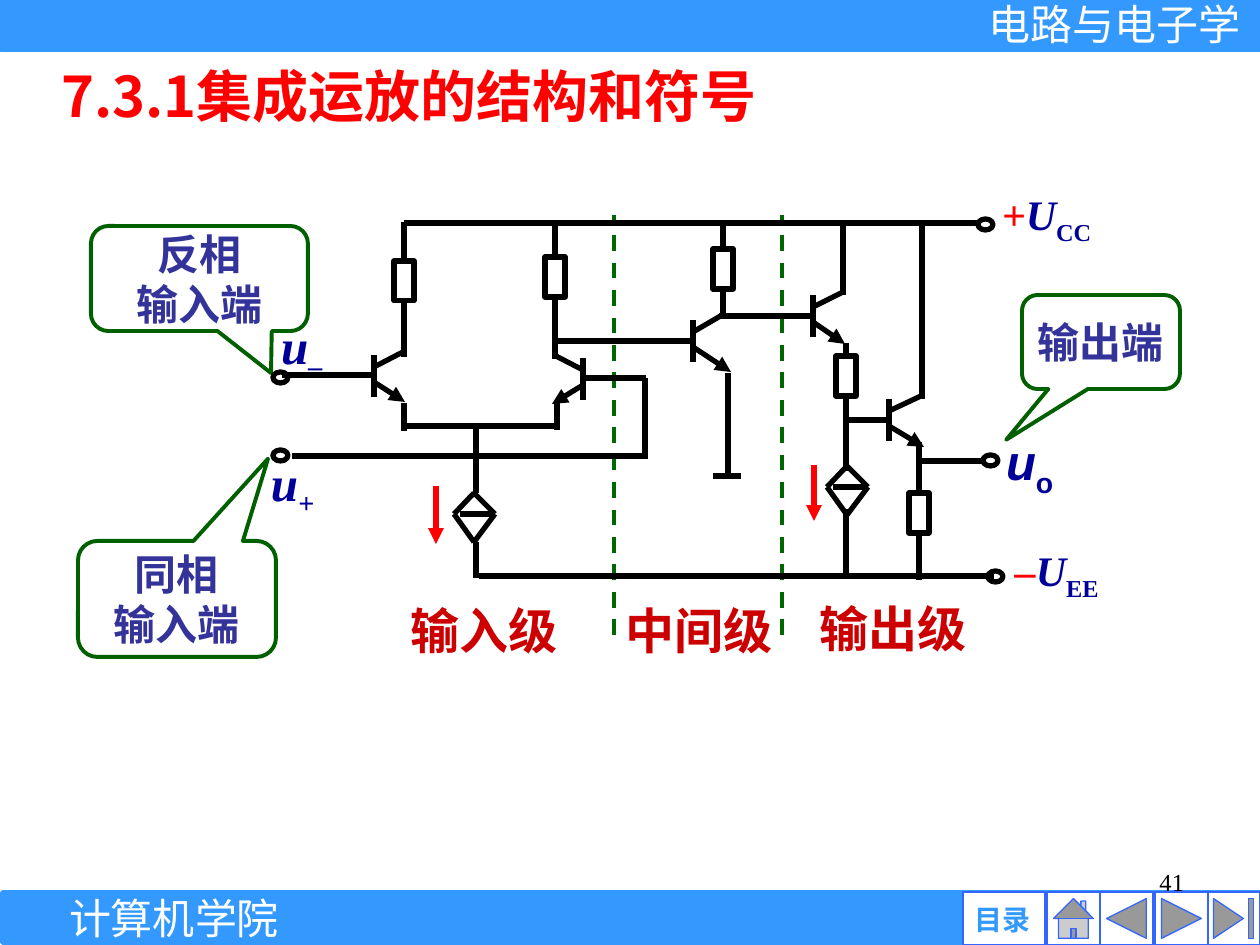
from lxml import etree
from pptx import Presentation
from pptx.dml.color import RGBColor
from pptx.enum.dml import MSO_LINE
from pptx.enum.shapes import MSO_CONNECTOR, MSO_SHAPE
from pptx.enum.text import MSO_ANCHOR, PP_ALIGN
from pptx.oxml.ns import qn
from pptx.util import Pt

PX = 914400 / 126
STRAIGHT = MSO_CONNECTOR.STRAIGHT
RECT, OVAL = MSO_SHAPE.RECTANGLE, MSO_SHAPE.OVAL
CALLOUT = MSO_SHAPE.ROUNDED_RECTANGULAR_CALLOUT
LEFT, CENTER, RIGHT = PP_ALIGN.LEFT, PP_ALIGN.CENTER, PP_ALIGN.RIGHT
TOP, MIDDLE = MSO_ANCHOR.TOP, MSO_ANCHOR.MIDDLE
SANS, SERIF, CJK = "Arial", "Times New Roman", "Noto Sans CJK SC"

BLACK = RGBColor(0x00, 0x00, 0x00)
WHITE = RGBColor(0xFF, 0xFF, 0xFF)
RED = RGBColor(0xFF, 0x00, 0x00)
DARK_RED = RGBColor(0xCC, 0x00, 0x00)
SKY = RGBColor(0x33, 0x99, 0xFF)
BUTTON_EDGE = RGBColor(0x33, 0x66, 0xFF)
DASH_GREEN = RGBColor(0x00, 0x66, 0x00)
CALLOUT_GREEN = RGBColor(0x00, 0x60, 0x00)
INDIGO = RGBColor(0x33, 0x33, 0x99)
NAVY = RGBColor(0x00, 0x00, 0x99)

# ---- Content (all lengths in px) ----
BARS = [(3, 893, 1257, 49), (1, 0, 1259, 49)]
BUTTONS = [  # left, width, shape
    (1207, 53, MSO_SHAPE.ACTION_BUTTON_END),
    (1155, 53, MSO_SHAPE.ACTION_BUTTON_FORWARD_OR_NEXT),
    (1100, 53, MSO_SHAPE.ACTION_BUTTON_BACK_OR_PREVIOUS),
    (1047, 53, MSO_SHAPE.ACTION_BUTTON_HOME),
    (963, 82, MSO_SHAPE.ACTION_BUTTON_CUSTOM),
]
TEXTS = [  # text, box, size, font, colour, bold, alignment, anchor, margins
    ("41", (903, 861, 294, 66), 14, SERIF, BLACK, False, RIGHT, TOP, (13, 6)),
    ("目录", (963, 902, 79, 34), 16, SANS, SKY, True, CENTER, MIDDLE, (0, 0)),
    ("电路与电子学", (961, -1, 307, 50), 24, SANS, WHITE, False, CENTER, MIDDLE, (0, 0)),
    ("计算机学院", (69, 893, 210, 50), 24, SERIF, WHITE, False, CENTER, MIDDLE, (0, 0)),
    ("7.3.1集成运放的结构和符号", (48, 55, 887, 79), 32, CJK, RED, True, LEFT, TOP, (13, 6)),
    ("输入级", (374, 597, 220, 66), 28, SERIF, DARK_RED, True, CENTER, MIDDLE, (13, 0)),
    ("中间级", (595, 597, 208, 66), 28, SERIF, DARK_RED, True, CENTER, MIDDLE, (13, 0)),
    ("输出级", (794, 595, 198, 66), 28, SERIF, DARK_RED, True, CENTER, MIDDLE, (13, 0)),
]
CALLOUTS = [  # lines, box, pointer
    (["同相", "输入端"], (78, 541, 198, 116), (0.46, -1.21)),
    (["输出端"], (1022, 295, 158, 94), (-0.6, 1.04)),
    (["反相", "输入端"], (91, 226, 217, 105), (0.33, 0.9)),
]
TERMINAL_LABELS = [  # sign, letter, subscript, box, size, font, upright subscript
    ("+", "U", "CC", (989, 183, 161, 63), 24, SERIF, True),
    ("–", "U", "EE", (1002, 539, 127, 63), 24, SERIF, True),
    ("", "u", "o", (993, 426, 84, 66), 28, SANS, True),
    ("", "u", "–", (268, 309, 93, 72), 28, SERIF, False),
    ("", "u", "+", (258, 446, 125, 72), 28, SERIF, False),
]
STAGE_BORDERS = [614, 782]
TERMINALS = [(273, 450), (273, 372), (988, 571), (983, 455), (978, 219)]
RESISTORS = [  # centre x, centre y, upper wire start, lower wire end
    (404, 281, 222, 357), (555, 277, 226, 359), (723, 269, 224, 316),
    (846, 376, 343, 471), (919, 513, 442, 580),
]
TRANSISTORS = [  # base x, centre y, collector offset, emitter offset
    (374, 376, (29, -24), (31, 26)),
    (583, 379, (-29, -24), (-31, 25)),
    (693, 341, (31, -27), (38, 31)),
    (813, 316, (30, -24), (32, 28)),
    (889, 420, (32, -24), (35, 27)),
]
CURRENT_SOURCES = [(474, 493), (847, 466)]  # top of each diamond
CURRENT_ARROWS = [(436, 486, 544), (814, 465, 521)]
WIRES = [
    # supply rails
    (404, 223, 979, 223), (479, 576, 994, 576),
    # inputs
    (282, 375, 372, 375), (292, 456, 646, 456),
    (645, 378, 645, 459), (646, 378, 582, 378),
    # differential pair
    (404, 403, 404, 431), (557, 402, 557, 430), (402, 426, 556, 426),
    (476, 423, 476, 493), (476, 542, 476, 578),
    # middle stage
    (557, 341, 694, 341), (728, 373, 728, 476), (713, 476, 741, 476),
    (719, 316, 814, 316),
    # output stage
    (843, 226, 843, 295), (846, 420, 889, 420), (846, 509, 846, 578),
    (922, 222, 922, 399), (917, 461, 983, 461),
]

prs = Presentation()
prs.slide_width, prs.slide_height = round(1260 * PX), round(945 * PX)
s = prs.slides.add_slide(prs.slide_layouts[6])


def emu(*lengths):
    return [round(v * PX) for v in lengths]


def add_shape(kind, box, color, width, fill=None):
    sp = s.shapes.add_shape(kind, *emu(*box))
    sp.shadow.inherit = False
    if fill is None:
        sp.fill.background()
    else:
        sp.fill.solid()
        sp.fill.fore_color.rgb = fill
    sp.line.color.rgb, sp.line.width = color, Pt(width)
    return sp


def add_line(x1, y1, x2, y2, color=BLACK, width=3, arrow=False):
    line = s.shapes.add_connector(STRAIGHT, *emu(x1, y1, x2, y2))
    line.line.color.rgb, line.line.width = color, Pt(width)
    if arrow:
        etree.SubElement(line.line._get_or_add_ln(), qn("a:tailEnd"), type="triangle")
    etree.SubElement(line._element.spPr, qn("a:effectLst"))
    return line


def style(font, size, name, color, bold=True):
    font.size, font.name, font.bold = Pt(size), name, bold
    font.color.rgb = color


def add_box(box, anchor, margins):
    tf = s.shapes.add_textbox(*emu(*box)).text_frame
    tf.word_wrap, tf.vertical_anchor = True, anchor
    tf.margin_left = tf.margin_right = emu(margins[0])[0]
    tf.margin_top = tf.margin_bottom = emu(margins[1])[0]
    return tf


# Header, footer and navigation buttons
for bar in BARS:
    add_shape(RECT, bar, SKY, 3, SKY)
for left, width, kind in BUTTONS:
    add_shape(kind, (left, 892, width, 53), BUTTON_EDGE, 0.75, WHITE)

# Plain texts
for text, box, size, name, color, bold, align, anchor, margins in TEXTS:
    p = add_box(box, anchor, margins).paragraphs[0]
    p.text, p.alignment = text, align
    style(p.font, size, name, color, bold)

# Borders between the stages
for x in STAGE_BORDERS:
    add_line(x, 635, x, 215, DASH_GREEN, 2.25).line.dash_style = MSO_LINE.DASH

# Callouts
for lines, box, pointer in CALLOUTS:
    sp = add_shape(CALLOUT, box, CALLOUT_GREEN, 2.25)
    sp.adjustments[0], sp.adjustments[1] = pointer
    tf = sp.text_frame
    tf.word_wrap, tf.vertical_anchor = False, MIDDLE
    tf.text = "\n".join(lines)
    for p in tf.paragraphs:
        p.alignment = CENTER
        style(p.font, 24, SANS, INDIGO)

# Terminal labels
for sign, letter, sub, box, size, name, upright in TERMINAL_LABELS:
    p = add_box(box, TOP, (13, 6)).paragraphs[0]
    for text, color in ((sign, RED), (letter, NAVY), (sub, NAVY)):
        if text:
            r = p.add_run()
            r.text = text
            style(r.font, size, name, color)
            r.font.italic = True
    r.font.italic = not upright
    r._r.get_or_add_rPr().set("baseline", "-25000")

# Wires and terminals
for wire in WIRES:
    add_line(*wire)
for x, y in TERMINALS:
    add_shape(OVAL, (x, y, 15, 11), BLACK, 3)

# Resistors with their leads
for x, y, start, end in RESISTORS:
    sp = add_shape(RECT, (x - 10, y - 20, 20, 40), BLACK, 3)
    add_line(x, start, x, y - 20).end_connect(sp, 0)
    add_line(x, y + 20, x, end).begin_connect(sp, 2)

# Transistors
for x, y, (cx, cy), (ex, ey) in TRANSISTORS:
    add_line(x, y - 21, x, y + 21)
    add_line(x, y - 9, x + cx, y + cy)
    add_line(x, y + 6, x + ex, y + ey, arrow=True)

# Current sources
for x, y in CURRENT_SOURCES:
    add_line(x - 14, y + 21, x + 21, y + 21)
    for side in (x - 20, x + 21):
        add_line(x, y, side, y + 21)
        add_line(side, y + 21, x, y + 49)
for x, start, end in CURRENT_ARROWS:
    add_line(x, start, x, end, RED, arrow=True)

prs.save("out.pptx")
